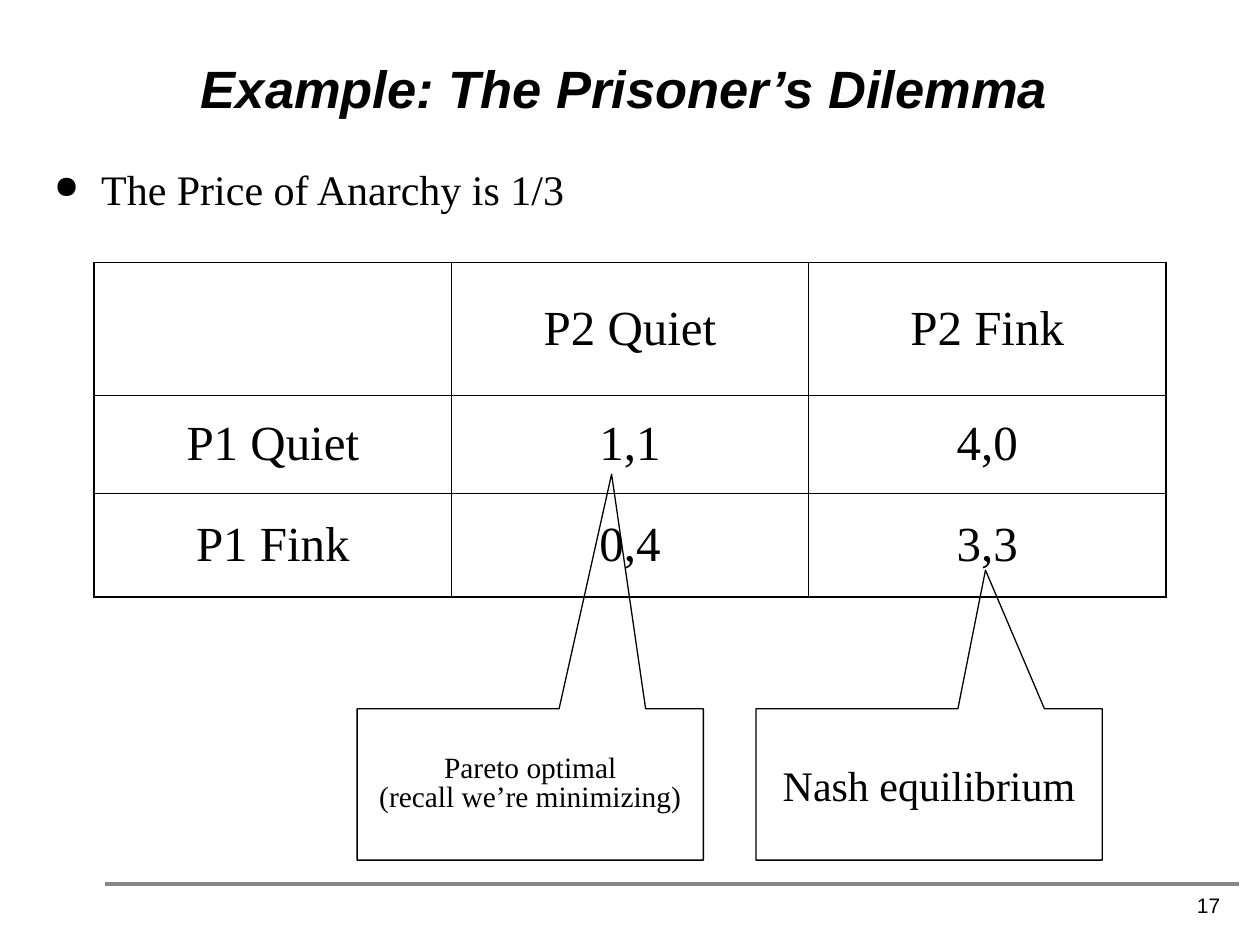
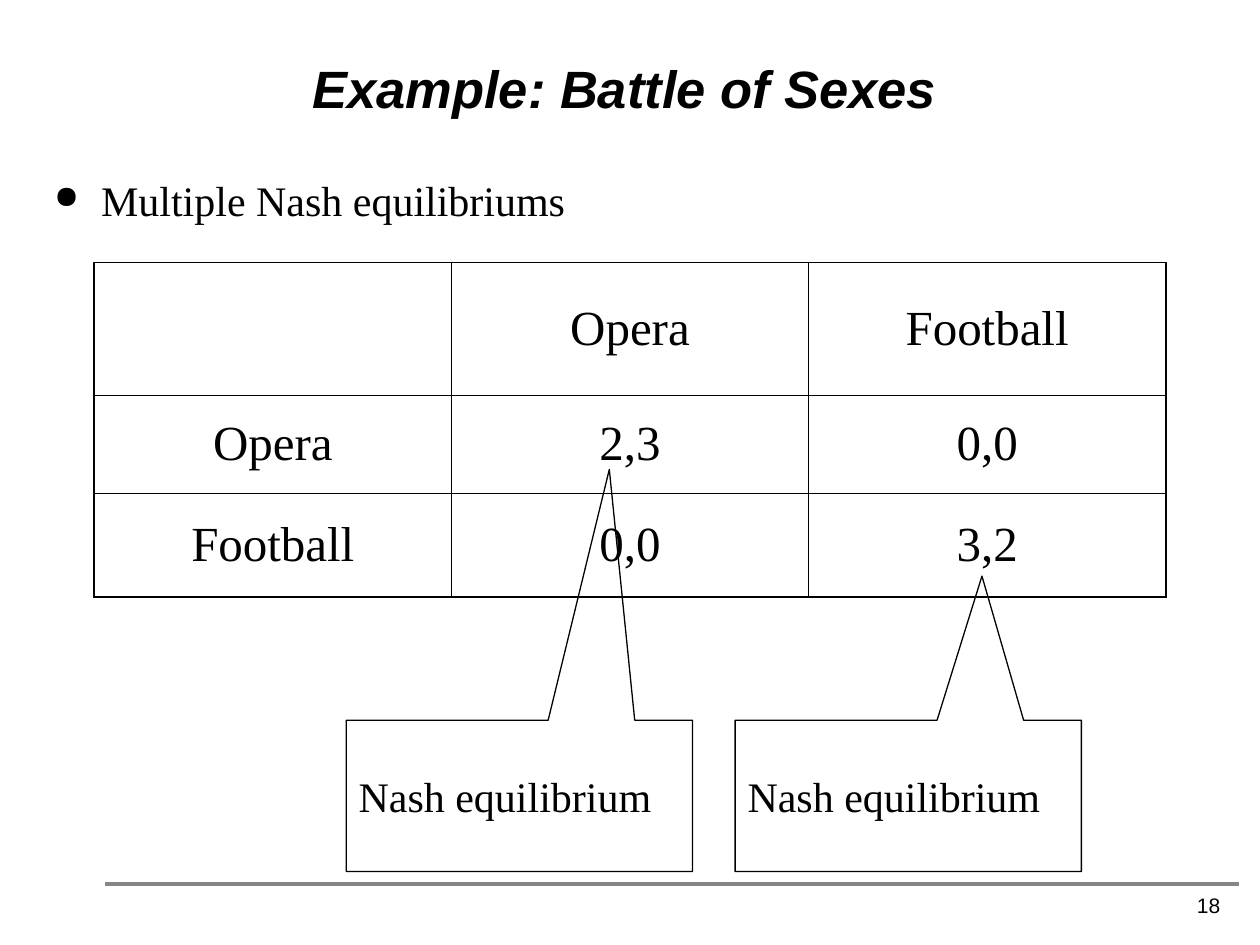
from dataclasses import dataclass

from lxml.etree import SubElement as Sub
from pptx import Presentation
from pptx.dml.color import RGBColor as Rgb
from pptx.enum.shapes import MSO_CONNECTOR as Link, MSO_SHAPE as Shape
from pptx.enum.text import MSO_ANCHOR as Anchor, MSO_AUTO_SIZE as Auto, PP_ALIGN as Align
from pptx.oxml.ns import qn
from pptx.util import Cm, Pt

BLACK, GREY = "000000", "868686"
SANS, SERIF = "Arial", "Times New Roman"
COL_WIDTH = 7.2
ROW_HEIGHTS = (2.68, 1.97, 2.09)
THIN, THICK = 0.45, 1.08


@dataclass
class Callout:
    left: float
    top: float
    tip: tuple[float, float]
    lines: tuple[str, ...]
    size: float = 24
    align: Align = Align.LEFT
    pitch: float | None = None


@dataclass
class Game:
    title: str
    point: str
    point_top: float
    grid: tuple[tuple[str, ...], ...]
    notes: tuple[Callout, ...]
    page: int


GAMES = (
    Game(
        "Example: The Prisoner’s Dilemma",
        "The Price of Anarchy is 1/3", 3.18,
        (("", "P2 Quiet", "P2 Fink"),
         ("P1 Quiet", "1,1", "4,0"),
         ("P1 Fink", "0,4", "3,3")),
        (Callout(15.24, 14.29, (0.163, -1.417), ("Nash equilibrium",), align=Align.CENTER),
         Callout(7.2, 14.29, (0.235, -2.051),
                 ("Pareto optimal", "(recall we’re minimizing)"),
                 16.8, Align.CENTER, 0.8)),
        17,
    ),
    Game(
        "Example: Battle of Sexes",
        "Multiple Nash equilibriums", 3.39,
        (("", "Opera", "Football"),
         ("Opera", "2,3", "0,0"),
         ("Football", "0,0", "3,2")),
        (Callout(6.98, 14.52, (0.26, -2.158), ("Nash equilibrium",)),
         Callout(14.82, 14.52, (0.213, -1.453), ("Nash equilibrium",))),
        18,
    ),
)


def paint(color, code: str) -> None:
    color.rgb = Rgb.from_string(code)


def write(para, text: str, size: float, face: str = SERIF,
          align: Align = Align.LEFT, strong: bool = False) -> None:
    para.alignment = align
    run = para.add_run()
    run.text = text
    font = run.font
    font.name, font.size = face, Pt(size)
    font.bold = font.italic = strong
    paint(font.color, BLACK)


def set_frame(frame, anchor: Anchor) -> None:
    frame.word_wrap = True
    frame.auto_size = Auto.NONE
    frame.vertical_anchor = anchor


def add_title(slide, text: str) -> None:
    title = slide.shapes.title
    title.left, title.top, title.width, title.height = Cm(0.84), Cm(0.58), Cm(23.5), Cm(1.96)
    set_frame(title.text_frame, Anchor.BOTTOM)
    para = title.text_frame.paragraphs[0]
    para.line_spacing = 0.85
    write(para, text, 30, SANS, Align.CENTER, True)


def add_rule(slide) -> None:
    rule = slide.shapes.add_connector(Link.STRAIGHT, Cm(2.12), Cm(17.83), Cm(24.98), Cm(17.83))
    rule.line.width = Pt(2.25)
    paint(rule.line.color, GREY)
    Sub(rule.line._get_or_add_ln().getparent(), qn("a:effectLst"))


def add_point(slide, text: str, top: float) -> None:
    box = slide.shapes.add_textbox(Cm(0.84), Cm(top), Cm(23.5), Cm(1.27))
    set_frame(box.text_frame, Anchor.TOP)
    para = box.text_frame.paragraphs[0]
    write(para, text, 24)
    props = para._p.get_or_add_pPr()
    props.set("marL", str(Cm(0.95)))
    props.set("indent", str(-Cm(0.95)))
    Sub(Sub(props, qn("a:buClr")), qn("a:srgbClr"), val=BLACK)
    Sub(props, qn("a:buSzPct"), val="75000")
    Sub(props, qn("a:buChar"), char="●")


def add_page(slide, page: int) -> None:
    box = slide.shapes.add_textbox(Cm(19.56), Cm(17.36), Cm(5.29), Cm(1.27))
    set_frame(box.text_frame, Anchor.BOTTOM)
    write(box.text_frame.paragraphs[0], str(page), 12, SANS, Align.RIGHT)


def add_edge(cell, side: str, width: float) -> None:
    line = Sub(cell._tc.get_or_add_tcPr(), qn(f"a:ln{side}"), w=str(Pt(width)))
    Sub(Sub(line, qn("a:solidFill")), qn("a:srgbClr"), val=BLACK)


def add_grid(slide, grid: tuple[tuple[str, ...], ...]) -> None:
    last = len(grid) - 1
    table = slide.shapes.add_table(
        len(grid), len(grid[0]), Cm(1.9), Cm(5.29),
        Cm(COL_WIDTH * len(grid[0])), Cm(sum(ROW_HEIGHTS))).table
    table.first_row = table.horz_banding = False
    for col in table.columns:
        col.width = Cm(COL_WIDTH)
    for row, height in zip(table.rows, ROW_HEIGHTS):
        row.height = Cm(height)
    for y, texts in enumerate(grid):
        for x, text in enumerate(texts):
            cell = table.cell(y, x)
            cell.vertical_anchor = Anchor.MIDDLE
            outer = {"L": x == 0, "R": x == last, "T": y == 0, "B": y == last}
            for side, edge in outer.items():
                add_edge(cell, side, THICK if edge else THIN)
            cell.fill.background()
            if text:
                para = cell.text_frame.paragraphs[0]
                para.space_before = Pt(7)
                write(para, text, 28, align=Align.CENTER)


def add_note(slide, note: Callout) -> None:
    shape = slide.shapes.add_shape(
        Shape.RECTANGULAR_CALLOUT, Cm(note.left), Cm(note.top), Cm(6.98), Cm(3.05))
    shape.adjustments[0], shape.adjustments[1] = note.tip
    shape.shadow.inherit = False
    shape.fill.background()
    shape.line.width = Pt(0.75)
    paint(shape.line.color, BLACK)
    frame = shape.text_frame
    set_frame(frame, Anchor.MIDDLE)
    for index, text in enumerate(note.lines):
        para = frame.add_paragraph() if index else frame.paragraphs[0]
        para.line_spacing = note.pitch
        write(para, text, note.size, align=note.align)


def main() -> None:
    deck = Presentation()
    deck.slide_width, deck.slide_height = Cm(25.4), Cm(19.05)
    for game in GAMES:
        slide = deck.slides.add_slide(deck.slide_layouts[5])
        add_rule(slide)
        add_title(slide, game.title)
        add_grid(slide, game.grid)
        for note in game.notes:
            add_note(slide, note)
        add_point(slide, game.point, game.point_top)
        add_page(slide, game.page)
    deck.save("out.pptx")


if __name__ == "__main__":
    main()
